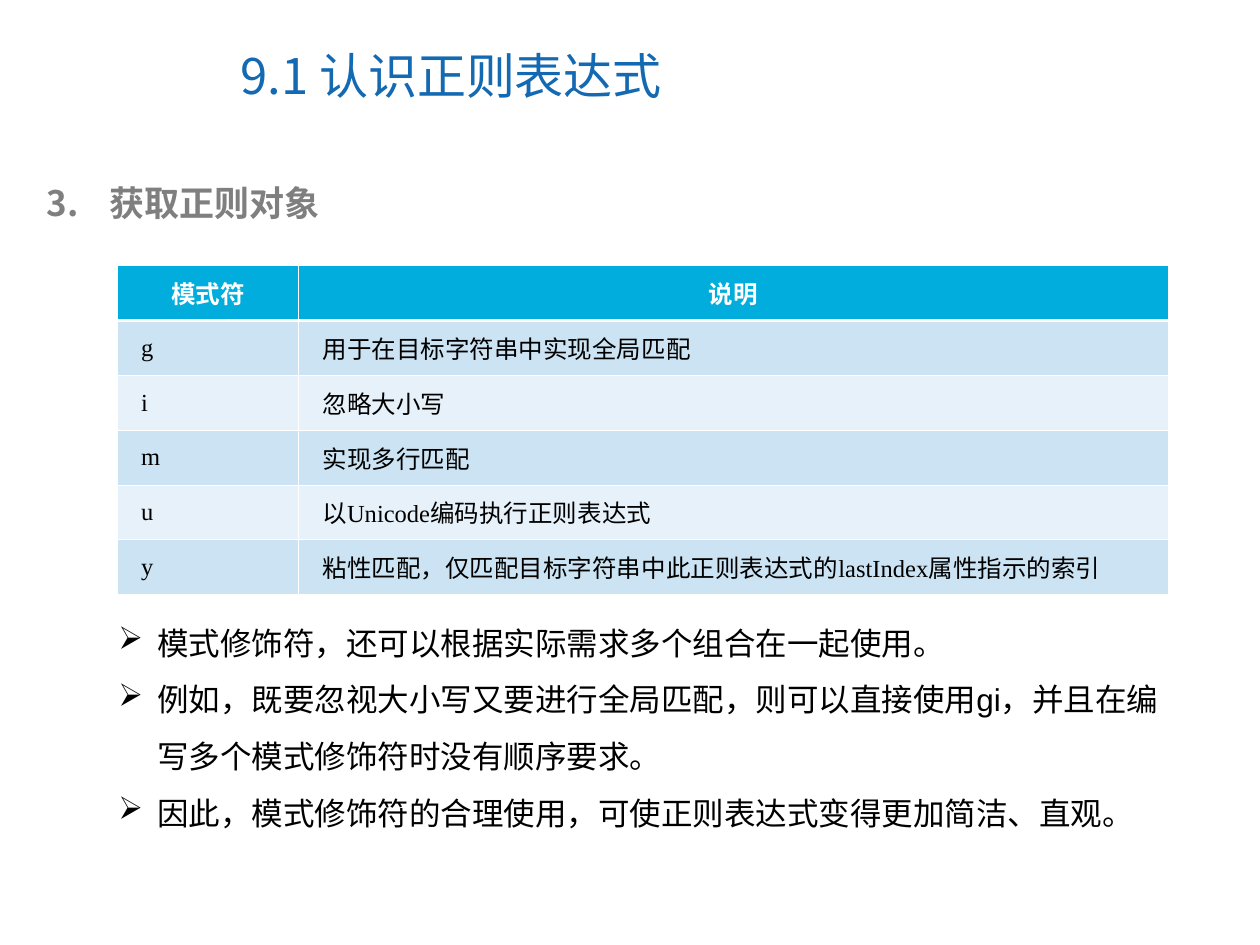
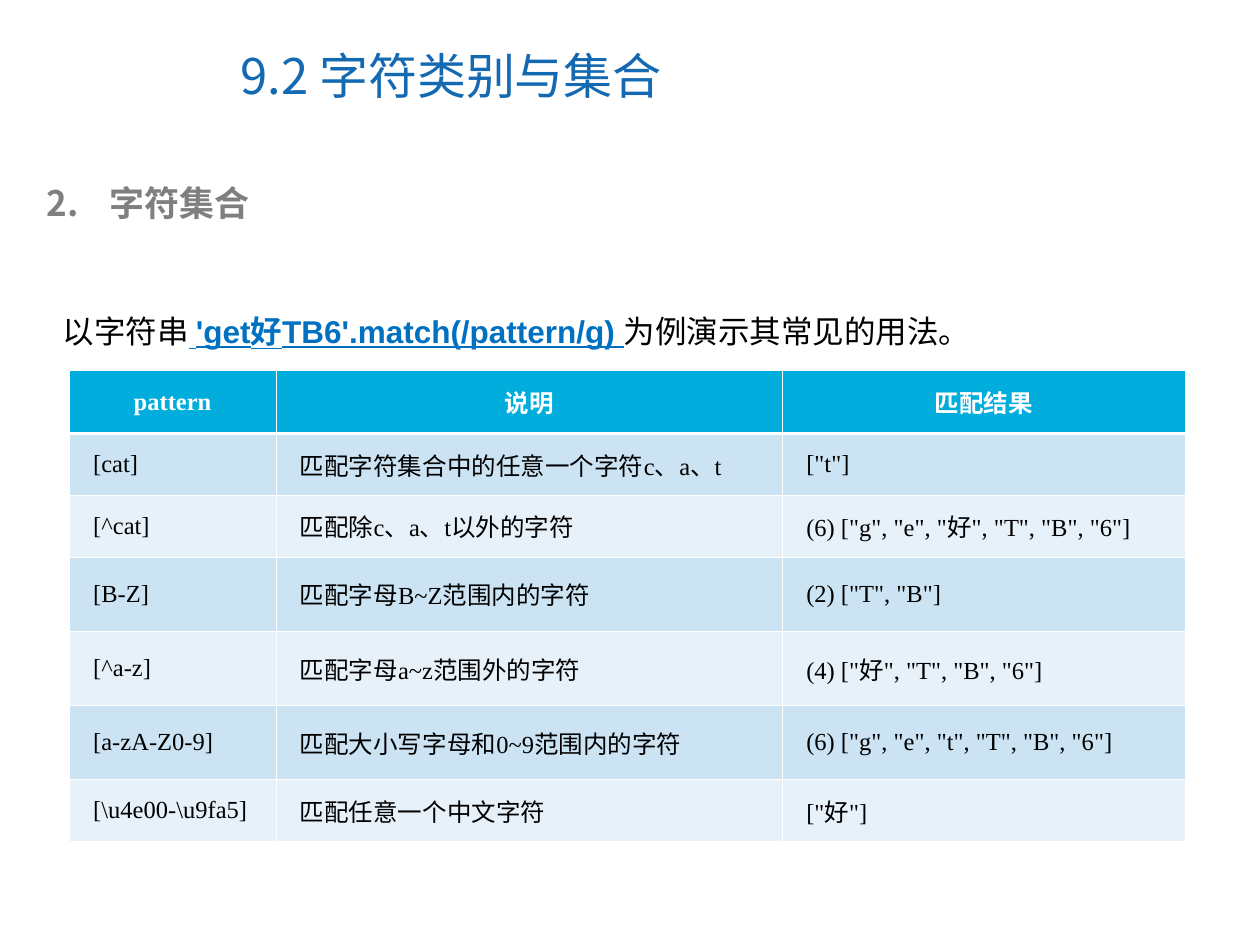
from lxml.etree import SubElement
from pptx import Presentation
from pptx.dml.color import RGBColor
from pptx.enum.text import MSO_ANCHOR as Anchor, MSO_AUTO_SIZE as AutoSize, PP_ALIGN as Align
from pptx.oxml.ns import qn
from pptx.util import Inches, Pt

CJK, SANS, SERIF = "Noto Sans CJK SC", "Arial", "Times New Roman"
BLACK, WHITE, GREY = "000000", "FFFFFF", "7F7F7F"
TITLE_BLUE, CODE_BLUE, HEADER_BLUE = "1369B2", "0070C0", "00ADDC"
BANDS = ["CBE3F2", "E7F1F9"]
THIN, THICK = 0.45, 1.47


def rgb(value):
    """Turn a hex string into a colour."""
    return RGBColor.from_string(value)


def add_text(paragraph, text, size=18, font=SANS, color=BLACK, bold=False, underline=False):
    """Append a formatted run to a paragraph."""
    run = paragraph.add_run()
    run.text = text
    run.font.size = Pt(size)
    run.font.name = font
    run.font.bold = bold
    run.font.underline = underline
    run.font.color.rgb = rgb(color)
    SubElement(run.font._element, qn("a:ea"), typeface=CJK)


def add_bullet(paragraph, indent, tag, color, **attributes):
    """Give a paragraph a hanging bullet or number."""
    properties = paragraph._p.get_or_add_pPr()
    properties.set("marL", str(Inches(indent)))
    properties.set("indent", str(-Inches(indent)))
    bullet_color = SubElement(properties, qn("a:buClr"))
    SubElement(bullet_color, qn("a:srgbClr"), val=color)
    SubElement(properties, qn(tag), **attributes)


def add_border(cell, side, width):
    """Draw one white edge of a table cell."""
    line = SubElement(cell._tc.get_or_add_tcPr(), qn(f"a:ln{side}"), w=str(Pt(width)))
    fill = SubElement(line, qn("a:solidFill"))
    SubElement(fill, qn("a:srgbClr"), val=WHITE)


class Lesson:
    """Holds the deck style and the current slide."""

    def __init__(self):
        """Start an empty 4:3 deck."""
        self.deck = Presentation()
        self.deck.slide_width, self.deck.slide_height = Inches(10), Inches(7.5)
        self.slide = None

    def text_box(self, left, top, width, height, anchor=Anchor.TOP, grow=True):
        """Add a wrapping text box and return its text frame."""
        box = self.slide.shapes.add_textbox(Inches(left), Inches(top), Inches(width), Inches(height))
        frame = box.text_frame
        frame.word_wrap = True
        frame.auto_size = AutoSize.SHAPE_TO_FIT_TEXT if grow else AutoSize.NONE
        frame.vertical_anchor = anchor
        return frame

    def start_slide(self, title, number, heading):
        """Add a slide with its chapter title and numbered heading."""
        self.slide = self.deck.slides.add_slide(self.deck.slide_layouts[6])
        title_frame = self.text_box(1.81, 0.17, 5.16, 0.85, Anchor.MIDDLE, grow=False)
        add_text(title_frame.paragraphs[0], title, size=28, font=CJK, color=TITLE_BLUE)
        heading_line = self.text_box(0.27, 1.39, 9.22, 0.44).paragraphs[0]
        add_bullet(heading_line, 0.5, "a:buAutoNum", GREY, type="arabicPeriod", startAt=str(number))
        add_text(heading_line, heading, size=20, font=CJK, color=GREY, bold=True)

    def sentence(self, left, top, width, height, parts):
        """Add a double-spaced line made of differently formatted parts."""
        line = self.text_box(left, top, width, height).paragraphs[0]
        line.line_spacing = 2.0
        for text, style in parts:
            add_text(line, text, **style)

    def bullets(self, left, top, width, height, points):
        """Add a list with arrow bullets."""
        frame = self.text_box(left, top, width, height)
        for index, point in enumerate(points):
            line = frame.add_paragraph() if index else frame.paragraphs[0]
            add_bullet(line, 0.31, "a:buChar", BLACK, char="➢")
            line.line_spacing = 1.5
            add_text(line, point)

    def table(self, left, top, widths, heights, rows):
        """Add a banded table whose first row is the header."""
        frame = self.slide.shapes.add_table(
            len(rows), len(widths), Inches(left), Inches(top),
            Inches(sum(widths)), Inches(sum(heights)))
        grid = frame.table
        grid.horz_banding = False
        for column, width in zip(grid.columns, widths):
            column.width = Inches(width)
        for index, (row, height, texts) in enumerate(zip(grid.rows, heights, rows)):
            row.height = Inches(height)
            for cell, text in zip(row.cells, texts):
                self.table_cell(cell, text, index)

    def table_cell(self, cell, text, row):
        """Fill in and style one table cell."""
        header = row == 0
        edges = {"L": THIN, "R": THIN, "T": THICK if row == 1 else THIN, "B": THICK if header else THIN}
        for side, width in edges.items():
            add_border(cell, side, width)
        cell.fill.solid()
        cell.fill.fore_color.rgb = rgb(HEADER_BLUE if header else BANDS[(row - 1) % 2])
        cell.vertical_anchor = Anchor.MIDDLE
        cell.margin_left = cell.margin_right = Inches(0.07)
        line = cell.text_frame.paragraphs[0]
        if header:
            line.alignment = Align.CENTER
            font = SERIF if text.isascii() else SANS
            add_text(line, text, size=14, font=font, color=WHITE, bold=True)
        else:
            line.alignment = Align.JUSTIFY
            line._p.get_or_add_pPr().set("marL", str(Inches(0.12)))
            add_text(line, text, size=14, font=SERIF)


def main():
    """Build both slides and save the deck."""
    lesson = Lesson()

    lesson.start_slide("9.1 认识正则表达式", 3, "获取正则对象")
    modifiers = [
        ("模式符", "说明"),
        ("g", "用于在目标字符串中实现全局匹配"),
        ("i", "忽略大小写"),
        ("m", "实现多行匹配"),
        ("u", "以Unicode编码执行正则表达式"),
        ("y", "粘性匹配，仅匹配目标字符串中此正则表达式的lastIndex属性指示的索引"),
    ]
    lesson.table(0.93, 2.11, [1.44, 6.9], [2.61 / len(modifiers)] * len(modifiers), modifiers)
    lesson.bullets(0.84, 4.75, 8.49, 1.9, [
        "模式修饰符，还可以根据实际需求多个组合在一起使用。",
        "例如，既要忽视大小写又要进行全局匹配，则可以直接使用gi，并且在编写多个模式修饰符时没有顺序要求。",
        "因此，模式修饰符的合理使用，可使正则表达式变得更加简洁、直观。",
    ])

    lesson.start_slide("9.2 字符类别与集合", 2, "字符集合")
    lesson.sentence(0.4, 2.13, 9.19, 0.7, [
        ("以字符串", {}),
        (" 'get好TB6'.match(/pattern/g) ", {"color": CODE_BLUE, "bold": True, "underline": True}),
        ("为例演示其常见的用法。", {}),
    ])
    patterns = [
        ("pattern", "说明", "匹配结果"),
        ("[cat]", "匹配字符集合中的任意一个字符c、a、t", '["t"]'),
        ("[^cat]", "匹配除c、a、t以外的字符", '(6) ["g", "e", "好", "T", "B", "6"]'),
        ("[B-Z]", "匹配字母B~Z范围内的字符", '(2) ["T", "B"]'),
        ("[^a-z]", "匹配字母a~z范围外的字符", '(4) ["好", "T", "B", "6"]'),
        ("[a-zA-Z0-9]", "匹配大小写字母和0~9范围内的字符", '(6) ["g", "e", "t", "T", "B", "6"]'),
        (r"[\u4e00-\u9fa5]", "匹配任意一个中文字符", '["好"]'),
    ]
    heights = [0.5, 0.49, 0.49, 0.59, 0.59, 0.59, 0.49]
    lesson.table(0.55, 2.94, [1.64, 4.02, 3.2], heights, patterns)

    lesson.deck.save("out.pptx")


if __name__ == "__main__":
    main()
